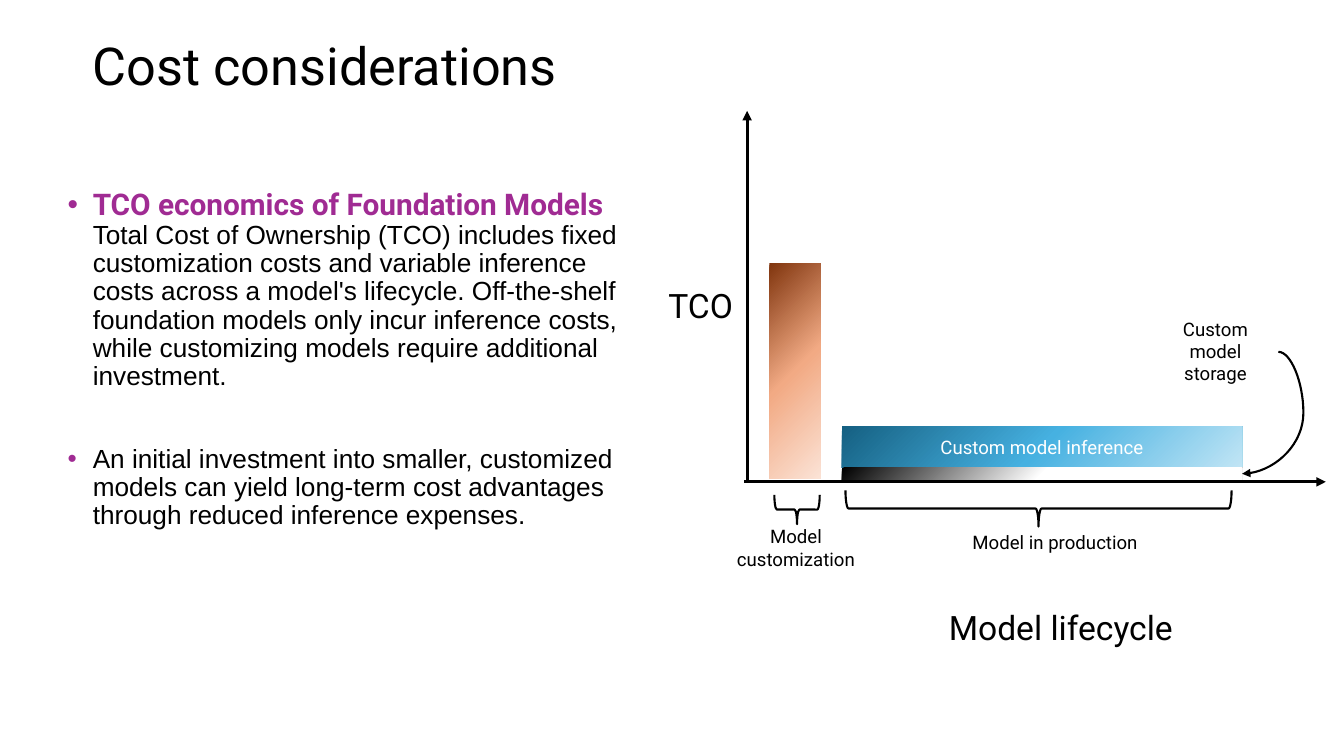
from copy import deepcopy

from lxml.etree import SubElement
from pptx import Presentation
from pptx.dml.color import RGBColor
from pptx.enum.shapes import MSO_CONNECTOR, MSO_SHAPE
from pptx.enum.text import MSO_ANCHOR, MSO_AUTO_SIZE, PP_ALIGN
from pptx.oxml.ns import qn
from pptx.util import Inches, Pt

COLORS = {"ink": "000000", "paper": "FFFFFF", "accent": "A02B93"}
RAMPS = {
    "copper": ("80350E", "F2AA84", "FBE3D6"),
    "blue": ("156082", "46B1E1", "C1E5F5"),
    "black": ("000000", "FFFFFF", "FFFFFF"),
}
STYLES = {
    "title": {"name": "Roboto", "size": Pt(37.3), "bold": False},
    "head": {"name": "Roboto", "size": Pt(21.3), "bold": True},
    "body": {"name": "Arial", "size": Pt(18.7), "bold": False},
    "axis": {"name": "Roboto", "size": Pt(24)},
    "label": {"name": "Roboto", "size": Pt(13.3)},
}
NO_INSET = {"margin_left": 0, "margin_right": 0}
FLUSH = {
    **NO_INSET, "margin_top": 0, "margin_bottom": 0, "word_wrap": True,
    "auto_size": MSO_AUTO_SIZE.NONE, "vertical_anchor": MSO_ANCHOR.TOP,
}
POINTS = [
    ("TCO economics of Foundation Models",
     "Total Cost of Ownership (TCO) includes fixed customization costs and "
     "variable inference costs across a model's lifecycle. Off-the-shelf "
     "foundation models only incur inference costs, while customizing models "
     "require additional investment."),
    ("", "An initial investment into smaller, customized models can yield "
         "long-term cost advantages through reduced inference expenses."),
]


def rgb(key):
    return RGBColor.from_string(COLORS[key])


def apply(target, values):
    for name, value in values.items():
        setattr(target, name, value)


def place(shape, box):
    apply(shape, dict(zip(("left", "top", "width", "height"), map(Inches, box))))


def write(para, text, style, color="ink"):
    run = para.add_run()
    run.text = text
    apply(run.font, STYLES[style])
    run.font.color.rgb = rgb(color)


def add_title(slide, text):
    title = slide.shapes.title
    place(title, (0.92, 0.4, 11.5, 1.45))
    apply(title.text_frame, FLUSH)
    para = title.text_frame.paragraphs[0]
    apply(para, {"alignment": PP_ALIGN.LEFT, "line_spacing": 0.9})
    write(para, text, "title")


def add_bullet(para):
    props = para._p.get_or_add_pPr()
    props.set("marL", str(Inches(0.25)))
    props.set("indent", str(Inches(-0.25)))
    tint = SubElement(props, qn("a:buClr"))
    SubElement(tint, qn("a:srgbClr"), val=COLORS["accent"])
    SubElement(props, qn("a:buFont"), typeface="Arial")
    SubElement(props, qn("a:buChar"), char="•")


def add_points(slide):
    body = slide.placeholders[1]
    place(body, (0.67, 1.88, 5.56, 2.82))
    frame = body.text_frame
    apply(frame, FLUSH)
    for i, (head, text) in enumerate(POINTS):
        para = frame.add_paragraph() if i else frame.paragraphs[0]
        add_bullet(para)
        apply(para, {"line_spacing": 0.9, "space_after": Pt(6.7),
                     "space_before": Pt(32 if i else 0)})
        if head:
            write(para, head, "head", "accent")
            para.add_line_break()
        write(para, text, "body")


def add_label(slide, text, box):
    frame = slide.shapes.add_textbox(*map(Inches, box)).text_frame
    frame.word_wrap = True
    frame.paragraphs[0].alignment = PP_ALIGN.CENTER
    write(frame.paragraphs[0], text, "label")


def add_name(slide, text, box):
    """Name one axis of the diagram."""
    frame = slide.shapes.add_textbox(*map(Inches, box)).text_frame
    apply(frame, {**NO_INSET, "word_wrap": False})
    write(frame.paragraphs[0], text, "axis")


def add_bar(slide, ramp, box, text=""):
    bar = slide.shapes.add_shape(MSO_SHAPE.RECTANGLE, *map(Inches, box))
    bar.shadow.inherit = False
    bar.line.fill.background()
    bar.fill.gradient()
    bar.fill.gradient_angle = 315
    stops = bar._element.spPr.find(qn("a:gradFill")).find(qn("a:gsLst"))
    stops.append(deepcopy(stops[0]))
    for i, (stop, color) in enumerate(zip(bar.fill.gradient_stops, RAMPS[ramp])):
        stop.position = i / 2
        stop.color.rgb = RGBColor.from_string(color)
    if text:
        frame = bar.text_frame
        frame.vertical_anchor = MSO_ANCHOR.MIDDLE
        frame.paragraphs[0].alignment = PP_ALIGN.CENTER
        write(frame.paragraphs[0], text, "label", "paper")


def add_brace(slide, box):
    brace = slide.shapes.add_shape(MSO_SHAPE.RIGHT_BRACE, *map(Inches, box))
    brace.shadow.inherit = False
    brace.rotation = 90
    brace.fill.background()
    brace.line.color.rgb = rgb("ink")
    brace.line.width = Pt(1.5)


def add_arrow(slide, ends, width, bend=None):
    """Draw an arrow; a bend, as a share of its width, makes it curved."""
    kind = MSO_CONNECTOR.STRAIGHT if bend is None else MSO_CONNECTOR.CURVE
    arrow = slide.shapes.add_connector(kind, *map(Inches, ends))
    arrow.line.color.rgb = rgb("ink")
    arrow.line.width = Pt(width)
    props = arrow._element.spPr
    SubElement(props.find(qn("a:ln")), qn("a:tailEnd"), type="triangle")
    SubElement(props, qn("a:effectLst"))
    if bend is not None:
        geom = props.find(qn("a:prstGeom"))
        guides = geom.find(qn("a:avLst"))
        if guides is None:
            guides = SubElement(geom, qn("a:avLst"))
        SubElement(guides, qn("a:gd"), name="adj1",
                   fmla=f"val {round(bend * 100000)}")


def main():
    deck = Presentation()
    deck.slide_width, deck.slide_height = Inches(13.33), Inches(7.5)
    slide = deck.slides.add_slide(deck.slide_layouts[1])
    add_title(slide, "Cost considerations")
    add_points(slide)

    add_arrow(slide, (7.38, 4.78, 13.15, 4.78), 2.25)
    add_arrow(slide, (7.41, 4.78, 7.41, 1.1), 2.25)
    add_name(slide, "TCO", (6.63, 2.78, 0.66, 0.5))
    add_name(slide, "Model lifecycle", (9.41, 5.97, 2.28, 0.5))

    add_bar(slide, "copper", (7.63, 2.61, 0.51, 2.14))
    add_bar(slide, "blue", (8.35, 4.23, 3.97, 0.41), "Custom model inference")
    add_bar(slide, "black", (8.35, 4.64, 3.97, 0.12))

    add_brace(slide, (7.76, 4.83, 0.29, 0.45))
    add_brace(slide, (10.12, 3.13, 0.36, 3.83))
    add_label(slide, "Model customization", (7.13, 5.16, 1.53, 0.55))
    add_label(slide, "Model in production", (9.29, 5.22, 2.35, 0.33))
    add_label(slide, "Custom model storage", (11.43, 3.1, 1.25, 0.77))
    add_arrow(slide, (12.68, 3.49, 12.32, 4.7), 1.5, bend=-0.69)
    deck.save("out.pptx")


if __name__ == "__main__":
    main()
